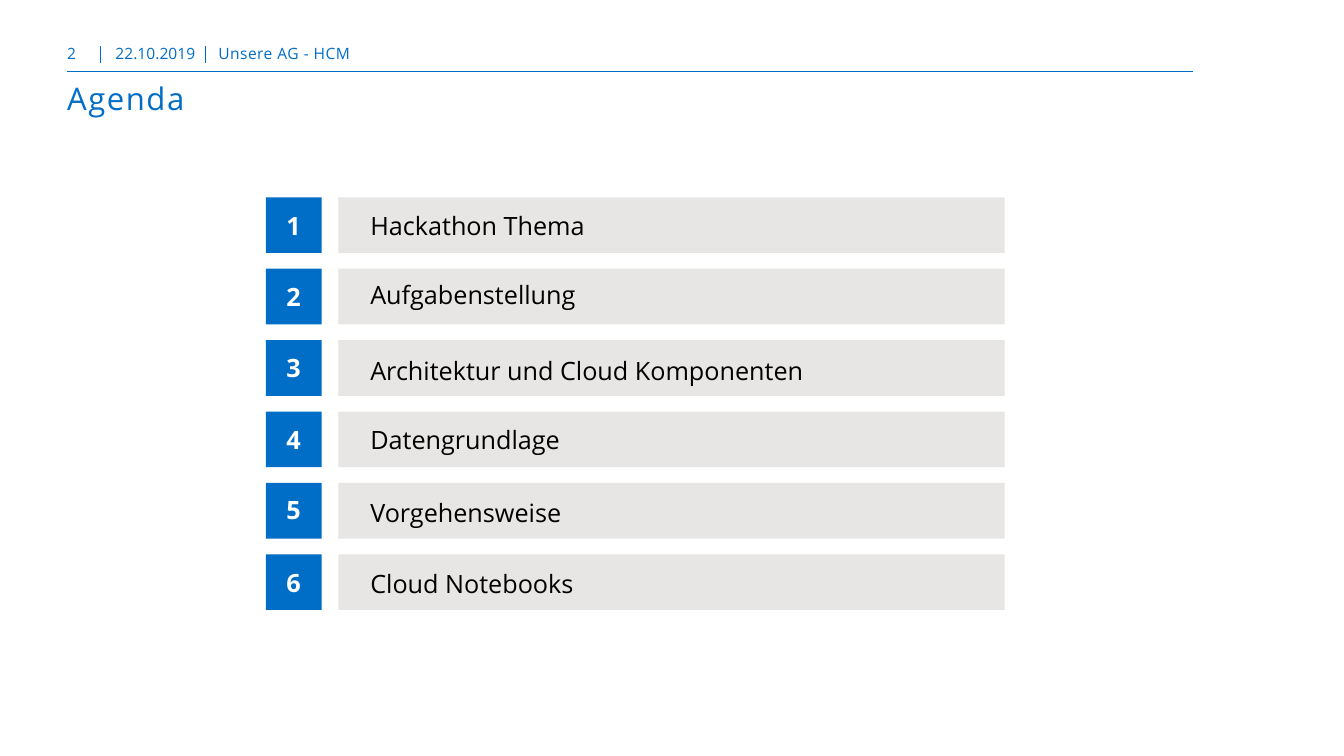
from pptx import Presentation
from pptx.dml.color import RGBColor
from pptx.enum.shapes import MSO_CONNECTOR as Connector, MSO_SHAPE as Shape
from pptx.enum.text import MSO_ANCHOR as Anchor, MSO_AUTO_SIZE as AutoSize, PP_ALIGN as Align
from pptx.oxml.ns import qn
from pptx.util import Pt
from lxml.etree import SubElement

BLUE = RGBColor(0x00, 0x6E, 0xC7)
DIVIDER_BLUE = RGBColor(0x00, 0x6C, 0xC3)
GREY = RGBColor(0xE7, 0xE6, 0xE4)
BLACK = RGBColor(0x00, 0x00, 0x00)
WHITE = RGBColor(0xFF, 0xFF, 0xFF)

# Topic, number shift and topic shift in points
AGENDA = [
    ("Hackathon Thema", 0, 0),
    ("Aufgabenstellung", 0, -1.5),
    ("Architektur und Cloud Komponenten", 0, 2),
    ("Datengrundlage", 0, 0),
    ("Vorgehensweise", -1, 1),
    ("Cloud Notebooks", 0, 1),
]
FIRST_ROW, ROW_STEP, BAR_HEIGHT = 141, 51, 39.75
MARGIN, RIGHT_EDGE = 48, 852


class SlideBuilder:
    font = "Open Sans"

    def __init__(self, page):
        self.page = page

    def line(self, x1, y1, x2, y2, color, width):
        line = self.page.shapes.add_connector(
            Connector.STRAIGHT, Pt(x1), Pt(y1), Pt(x2), Pt(y2))
        line.line.color.rgb = color
        line.line.width = Pt(width)
        SubElement(line._element.spPr, qn("a:effectLst"))

    def bar(self, left, top, width, height, color):
        bar = self.page.shapes.add_shape(
            Shape.RECTANGLE, Pt(left), Pt(top), Pt(width), Pt(height))
        bar.shadow.inherit = False
        bar.fill.solid()
        bar.fill.fore_color.rgb = color
        bar.line.fill.background()

    def text(self, words, left, top, width, height, size, color=BLUE, bold=False,
             align=Align.LEFT, inset=0, spacing=0, grow=False):
        """Add one line of text; spacing is the letter spacing in points."""
        box = self.page.shapes.add_textbox(Pt(left), Pt(top), Pt(width), Pt(height))
        frame = box.text_frame
        frame.text = words
        frame.word_wrap = True
        frame.margin_left = frame.margin_right = frame.margin_bottom = 0
        frame.margin_top = Pt(inset)
        if grow:
            frame.vertical_anchor = Anchor.MIDDLE
            frame.auto_size = AutoSize.SHAPE_TO_FIT_TEXT
        para = frame.paragraphs[0]
        para.alignment = align
        span = para.runs[0]
        span.font.name = self.font
        span.font.size = Pt(size)
        span.font.bold = bold
        span.font.color.rgb = color
        if spacing:
            span._r.get_or_add_rPr().set("spc", str(round(spacing * 100)))

    def header(self):
        self.line(MARGIN, 51, RIGHT_EDGE, 51, BLUE, 1)
        for x in (72, 147):
            self.line(x, 33, x, 45, DIVIDER_BLUE, 0.75)
        self.text("Agenda", MARGIN, 54, 804, 57.6, 22.2, inset=3, spacing=1.1)
        for words, left, width, align, spacing in (
            ("2", MARGIN, 24, Align.LEFT, 0),
            ("22.10.2019", 76.5, 69, Align.CENTER, 0),
            ("Unsere AG - HCM", 156, 696, Align.LEFT, 0.3),
        ):
            self.text(words, left, 30, width, 18, 11.1,
                      align=align, inset=1.5, spacing=spacing)

    def agenda_row(self, number, topic, number_shift, topic_shift):
        top = FIRST_ROW + (number - 1) * ROW_STEP
        self.bar(190, top, BAR_HEIGHT, BAR_HEIGHT, BLUE)
        self.bar(241.75, top, 476, BAR_HEIGHT, GREY)
        self.text(str(number), 184.25, top + 9 + number_shift, 51, 21.6, 18, WHITE,
                  bold=True, align=Align.CENTER, grow=True)
        self.text(topic, 264.5, top + 9 + topic_shift, 453, 21.6, 18, BLACK, grow=True)


def main():
    deck = Presentation()
    deck.slide_width, deck.slide_height = Pt(960), Pt(540)
    builder = SlideBuilder(deck.slides.add_slide(deck.slide_layouts[6]))
    builder.header()
    for number, row in enumerate(AGENDA, start=1):
        builder.agenda_row(number, *row)
    deck.save("out.pptx")


if __name__ == "__main__":
    main()
